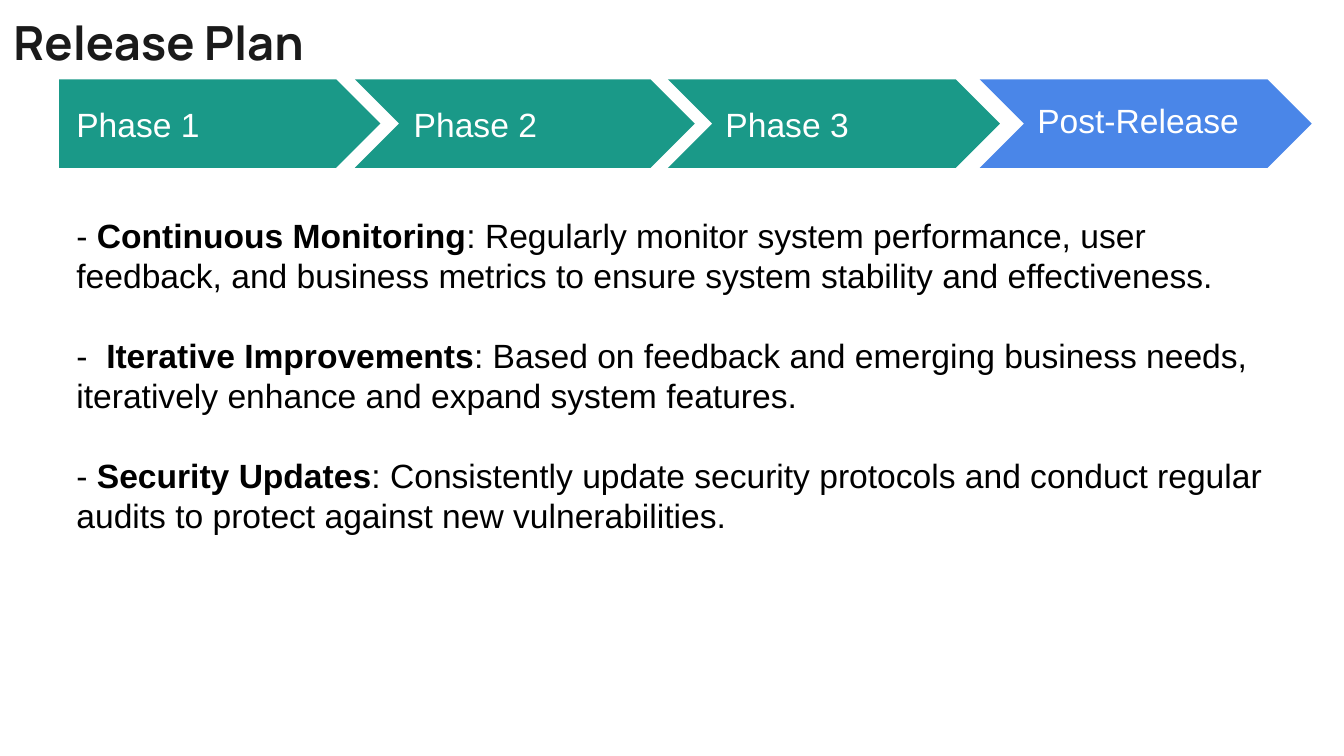
from dataclasses import dataclass

from pptx import Presentation
from pptx import util as u
from pptx.dml.color import RGBColor
from pptx.enum import shapes, text


@dataclass(frozen=True)
class Theme:
    ink: str = "1A1A1A"
    body: str = "000000"
    light: str = "FFFFFF"
    phase: str = "1A9988"
    release: str = "4A86E8"
    title_font: str = "Manrope"
    body_font: str = "Arial"
    title_size: float = 25.2
    body_size: float = 18
    paragraph_gap: float = 21
    label_spacing: float = 0.8


class SlideBuilder:
    """Places elements on a grid of square cells, 100 columns across the slide."""

    def __init__(self, deck, theme):
        self.theme = theme
        self.cell = deck.slide_width / 100
        self.slide = deck.slides.add_slide(deck.slide_layouts[5])

    def lengths(self, *cells):
        return [u.Emu(round(count * self.cell)) for count in cells]

    def frame(self, box, anchor):
        frame = box.text_frame
        frame.word_wrap = True
        frame.auto_size = text.MSO_AUTO_SIZE.NONE
        frame.vertical_anchor = anchor
        frame.margin_left = frame.margin_right = u.Inches(0.1)
        frame.margin_top = frame.margin_bottom = u.Inches(0.1)
        return frame

    def span(self, para, words, color, bold=False, font=None, size=None):
        span = para.add_run()
        span.text = words
        span.font.name = font or self.theme.body_font
        span.font.size = u.Pt(size or self.theme.body_size)
        span.font.bold = bold
        span.font.color.rgb = RGBColor.from_string(color)

    def title(self, words, *place):
        box = self.slide.shapes.title
        box.left, box.top, box.width, box.height = self.lengths(*place)
        para = self.frame(box, text.MSO_ANCHOR.TOP).paragraphs[0]
        para.alignment = text.PP_ALIGN.LEFT
        self.span(para, words, self.theme.ink, True,
                  self.theme.title_font, self.theme.title_size)

    def arrow(self, kind, color, *place):
        arrow = self.slide.shapes.add_shape(kind, *self.lengths(*place))
        arrow.adjustments[0] = 0.5
        arrow.shadow.inherit = False
        arrow.fill.solid()
        arrow.fill.fore_color.rgb = RGBColor.from_string(color)
        arrow.line.fill.background()

    def label(self, words, *place):
        box = self.slide.shapes.add_textbox(*self.lengths(*place))
        para = self.frame(box, text.MSO_ANCHOR.MIDDLE).paragraphs[0]
        para.line_spacing = self.theme.label_spacing
        self.span(para, words, self.theme.light)

    def points(self, items, *place):
        """Adds one paragraph per (dash, bold heading, detail) item."""
        box = self.slide.shapes.add_textbox(*self.lengths(*place))
        frame = self.frame(box, text.MSO_ANCHOR.TOP)
        for index, (dash, heading, detail) in enumerate(items):
            para = frame.add_paragraph() if index else frame.paragraphs[0]
            if index:
                para.space_before = u.Pt(self.theme.paragraph_gap)
            self.span(para, dash, self.theme.body)
            self.span(para, heading, self.theme.body, bold=True)
            self.span(para, f": {detail}", self.theme.body)


def main():
    deck = Presentation()
    deck.slide_width = u.Inches(10)
    deck.slide_height = u.Emu(deck.slide_width * 9 // 16)
    theme = Theme()
    page = SlideBuilder(deck, theme)
    page.title("Release Plan", 0, 0, 84.1, 5.9)

    pentagon = shapes.MSO_SHAPE.PENTAGON
    chevron = shapes.MSO_SHAPE.CHEVRON
    band_top, band_height = 5.9, 6.6
    # name, shape, colour, left, width, label inset, label top, label width
    phases = [
        ("Phase 1", pentagon, theme.phase, 4.4, 23.9, 0.3, 7.8, 20.4),
        ("Phase 2", chevron, theme.phase, 26.4, 25.3, 3.4, 7.8, 18.5),
        ("Phase 3", chevron, theme.phase, 49.7, 24.7, 3.3, 7.8, 20.4),
        ("Post-Release", chevron, theme.release, 72.9, 24.7, 3.3, 7.5, 20.4),
    ]
    for name, kind, color, left, width, inset, label_top, label_width in phases:
        page.arrow(kind, color, left, band_top, width, band_height)
        page.label(name, left + inset, label_top, label_width, 3.4)

    page.points([
        ("- ", "Continuous Monitoring",
         "Regularly monitor system performance, user feedback, and business "
         "metrics to ensure system stability and effectiveness."),
        ("-  ", "Iterative Improvements",
         "Based on feedback and emerging business needs, iteratively enhance "
         "and expand system features."),
        ("- ", "Security Updates",
         "Consistently update security protocols and conduct regular audits "
         "to protect against new vulnerabilities."),
    ], 4.7, 15, 92.9, 38.5)
    deck.save("out.pptx")


if __name__ == "__main__":
    main()
